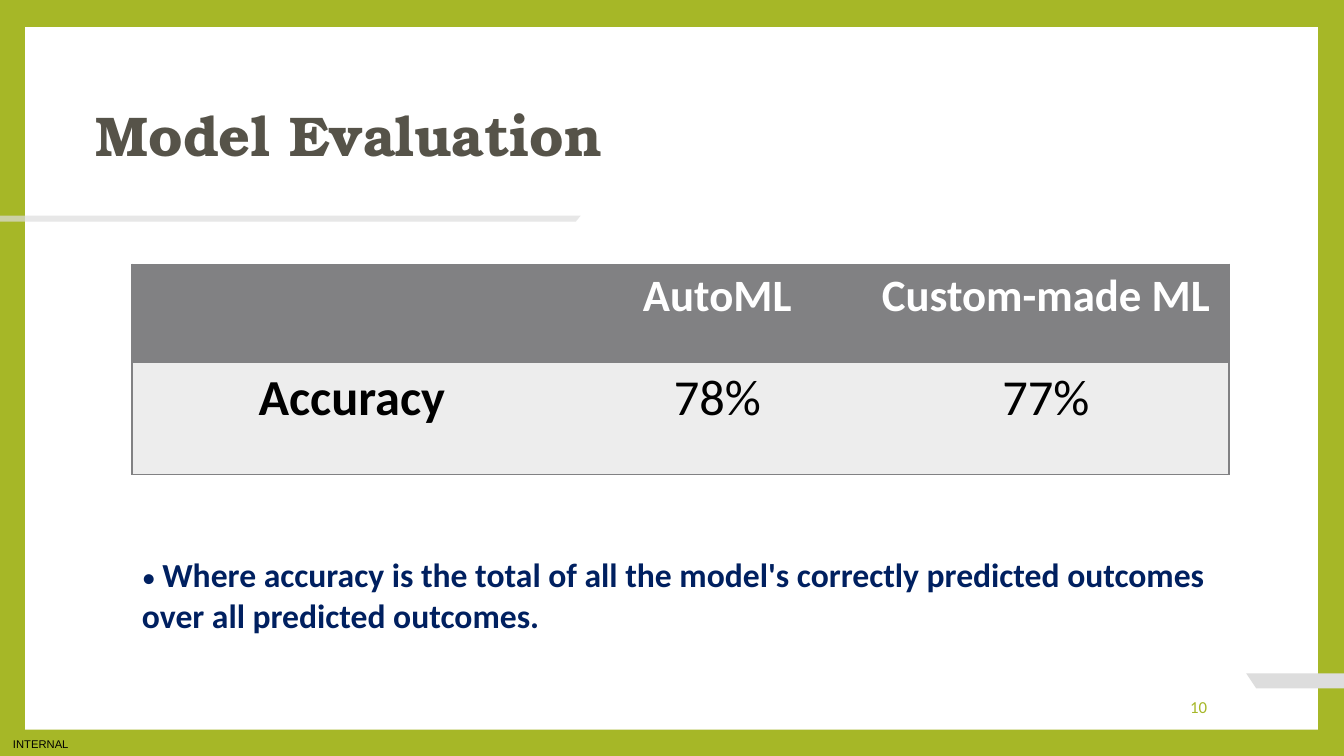
from dataclasses import dataclass

from lxml import etree
from pptx import Presentation
from pptx.dml.color import RGBColor
from pptx.enum.shapes import MSO_SHAPE
from pptx.enum.text import MSO_ANCHOR, PP_ALIGN
from pptx.oxml.ns import qn
from pptx.util import Inches, Pt

RECTANGLE = MSO_SHAPE.RECTANGLE
TOP, MIDDLE = MSO_ANCHOR.TOP, MSO_ANCHOR.MIDDLE
LEFT, CENTER, RIGHT = PP_ALIGN.LEFT, PP_ALIGN.CENTER, PP_ALIGN.RIGHT
TITLE_ONLY = 5
NO_TABLE_STYLE = "{2D5ABB26-0587-4C30-8999-92F81FD0307C}"


@dataclass(frozen=True)
class Theme:
    green: str = "A6B727"
    white: str = "FFFFFF"
    black: str = "000000"
    bar: str = "DDDDDD"
    title: str = "565349"
    navy: str = "002060"
    header: str = "818183"
    body: str = "EDEDED"
    text_font: str = "Calibri"
    title_font: str = "TeX Gyre Bonum"
    label_font: str = "Arial"
    label_size: int = 8
    number_size: int = 12
    bullet_size: int = 20
    note_size: int = 24
    header_size: int = 32
    body_size: int = 36
    title_size: int = 40


THEME = Theme()


@dataclass(frozen=True)
class TextRun:
    text: str
    size: int
    color: str
    bold: bool = False
    font: str = THEME.text_font


@dataclass(frozen=True)
class TextBox:
    box: tuple[float, float, float, float]
    runs: tuple[TextRun, ...]
    align: PP_ALIGN = LEFT
    anchor: MSO_ANCHOR = TOP
    margin: tuple[float, float] = (0.1, 0.05)


@dataclass(frozen=True)
class Bar:
    points: tuple[tuple[float, float], ...]
    opacity: int = 100


@dataclass(frozen=True)
class TableRow:
    height: float
    fill: str
    cells: tuple[TextRun | None, ...]


BARS = (
    Bar(((13.34, 6.68), (13.34, 6.83), (12.46, 6.83), (12.36, 6.68))),
    Bar(((0, 2.14), (0, 2.2), (5.71, 2.2), (5.76, 2.14)), opacity=70),
)
TITLE = TextBox(
    (0.85, 1.02, 5.32, 0.82),
    (TextRun("Model Evaluation", THEME.title_size, THEME.title, True, THEME.title_font),),
)
TEXT_BOXES = (
    TextBox(
        (0, 7.26, 0.81, 0.24),
        (TextRun("INTERNAL", THEME.label_size, THEME.black, font=THEME.label_font),),
        CENTER, MIDDLE, (0, 0),
    ),
    TextBox(
        (10.2, 6.81, 1.87, 0.4),
        (TextRun("10", THEME.number_size, THEME.green),),
        RIGHT, MIDDLE,
    ),
    TextBox(
        (1.31, 5.45, 11.16, 0.91),
        (
            TextRun("• ", THEME.bullet_size, THEME.navy),
            TextRun(
                "Where accuracy is the total of all the model's correctly predicted "
                "outcomes over all predicted outcomes.",
                THEME.note_size, THEME.navy, True,
            ),
        ),
    ),
)
COLUMN_WIDTHS = (4.36, 2.89, 3.63)
TABLE_ROWS = (
    TableRow(0.98, THEME.header, (
        None,
        TextRun("AutoML", THEME.header_size, THEME.white, True),
        TextRun("Custom-made ML", THEME.header_size, THEME.white, True),
    )),
    TableRow(1.11, THEME.body, (
        TextRun("Accuracy", THEME.body_size, THEME.black, True),
        TextRun("78%", THEME.body_size, THEME.black),
        TextRun("77%", THEME.body_size, THEME.black),
    )),
)


def rgb(color: str) -> RGBColor:
    return RGBColor.from_string(color)


def paint(target, color: str) -> None:
    target.fill.solid()
    target.fill.fore_color.rgb = rgb(color)


def add_run(paragraph, text_run: TextRun) -> None:
    run = paragraph.add_run()
    run.text = text_run.text
    run.font.name = text_run.font
    run.font.size = Pt(text_run.size)
    run.font.bold = text_run.bold
    run.font.color.rgb = rgb(text_run.color)


def write_text(shape, item: TextBox):
    frame = shape.text_frame
    frame.word_wrap = True
    frame.vertical_anchor = item.anchor
    frame.margin_left = frame.margin_right = Inches(item.margin[0])
    frame.margin_top = frame.margin_bottom = Inches(item.margin[1])
    paragraph = frame.paragraphs[0]
    paragraph.alignment = item.align
    for text_run in item.runs:
        add_run(paragraph, text_run)
    return paragraph


def add_bar(slide, bar: Bar) -> None:
    start, *others = [(Inches(x), Inches(y)) for x, y in bar.points]
    builder = slide.shapes.build_freeform(*start)
    builder.add_line_segments(others, close=True)
    shape = builder.convert_to_shape()
    shape.shadow.inherit = False
    shape.line.fill.background()
    paint(shape, THEME.bar)
    if bar.opacity < 100:
        color = shape.element.spPr.find(qn("a:solidFill"))[0]
        etree.SubElement(color, qn("a:alpha"), val=str(bar.opacity * 1000))


def add_title(slide) -> None:
    title = slide.shapes.title
    title.left, title.top, title.width, title.height = map(Inches, TITLE.box)
    paragraph = write_text(title, TITLE)
    paragraph.line_spacing = 0.9
    paragraph.space_before = Pt(14)
    # Bring the title in front of the white panel
    title.element.getparent().append(title.element)


def set_borders(cell, edges: list[str]) -> None:
    properties = cell._tc.get_or_add_tcPr()
    for index, edge in enumerate(edges):
        line = etree.Element(qn(f"a:{edge}"), w=str(Pt(1)))
        fill = etree.SubElement(line, qn("a:solidFill"))
        etree.SubElement(fill, qn("a:srgbClr"), val=THEME.header)
        properties.insert(index, line)


def add_accuracy_table(slide) -> None:
    width = sum(COLUMN_WIDTHS)
    height = sum(row.height for row in TABLE_ROWS)
    frame = slide.shapes.add_table(
        len(TABLE_ROWS), len(COLUMN_WIDTHS),
        Inches(1.31), Inches(2.62), Inches(width), Inches(height),
    )
    table = frame.table
    table.horz_banding = False
    table._tbl.tblPr.find(qn("a:tableStyleId")).text = NO_TABLE_STYLE
    for column, column_width in zip(table.columns, COLUMN_WIDTHS):
        column.width = Inches(column_width)
    last = len(COLUMN_WIDTHS) - 1
    for row_index, row in enumerate(TABLE_ROWS):
        table.rows[row_index].height = Inches(row.height)
        for column_index, text_run in enumerate(row.cells):
            cell = table.cell(row_index, column_index)
            paint(cell, row.fill)
            sides = {0: ["lnL"], last: ["lnR"]}.get(column_index, [])
            set_borders(cell, sides + ["lnT", "lnB"])
            if text_run:
                paragraph = cell.text_frame.paragraphs[0]
                paragraph.alignment = CENTER
                add_run(paragraph, text_run)


def main() -> None:
    presentation = Presentation()
    presentation.slide_width = Inches(13.33)
    presentation.slide_height = Inches(7.5)
    slide = presentation.slides.add_slide(presentation.slide_layouts[TITLE_ONLY])

    # Green frame around a white panel
    paint(slide.background, THEME.green)
    panel_box = map(Inches, (0.25, 0.27, 12.82, 6.97))
    panel = slide.shapes.add_shape(RECTANGLE, *panel_box)
    panel.shadow.inherit = False
    panel.line.fill.background()
    paint(panel, THEME.white)

    # Decorative bars
    for bar in BARS:
        add_bar(slide, bar)

    # Title, table and texts
    add_title(slide)
    add_accuracy_table(slide)
    for item in TEXT_BOXES:
        write_text(slide.shapes.add_textbox(*map(Inches, item.box)), item)

    presentation.save("out.pptx")


if __name__ == "__main__":
    main()
